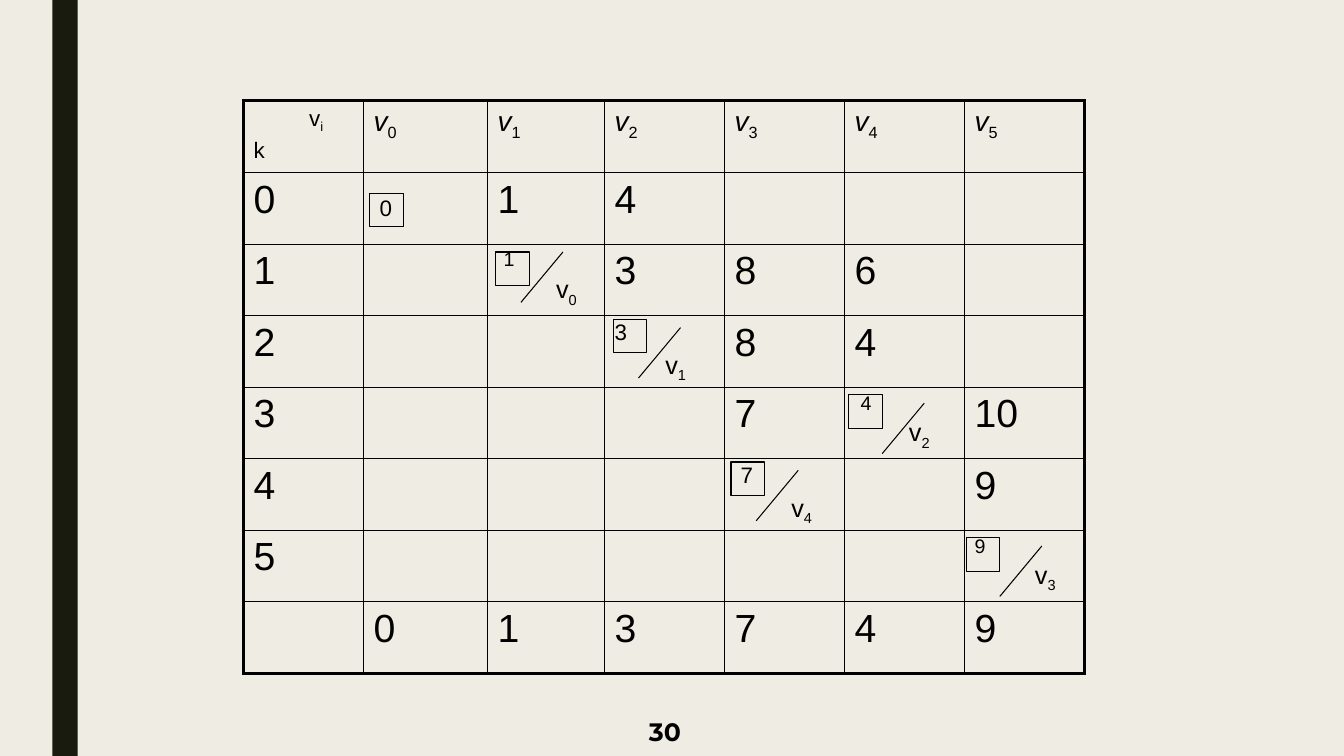
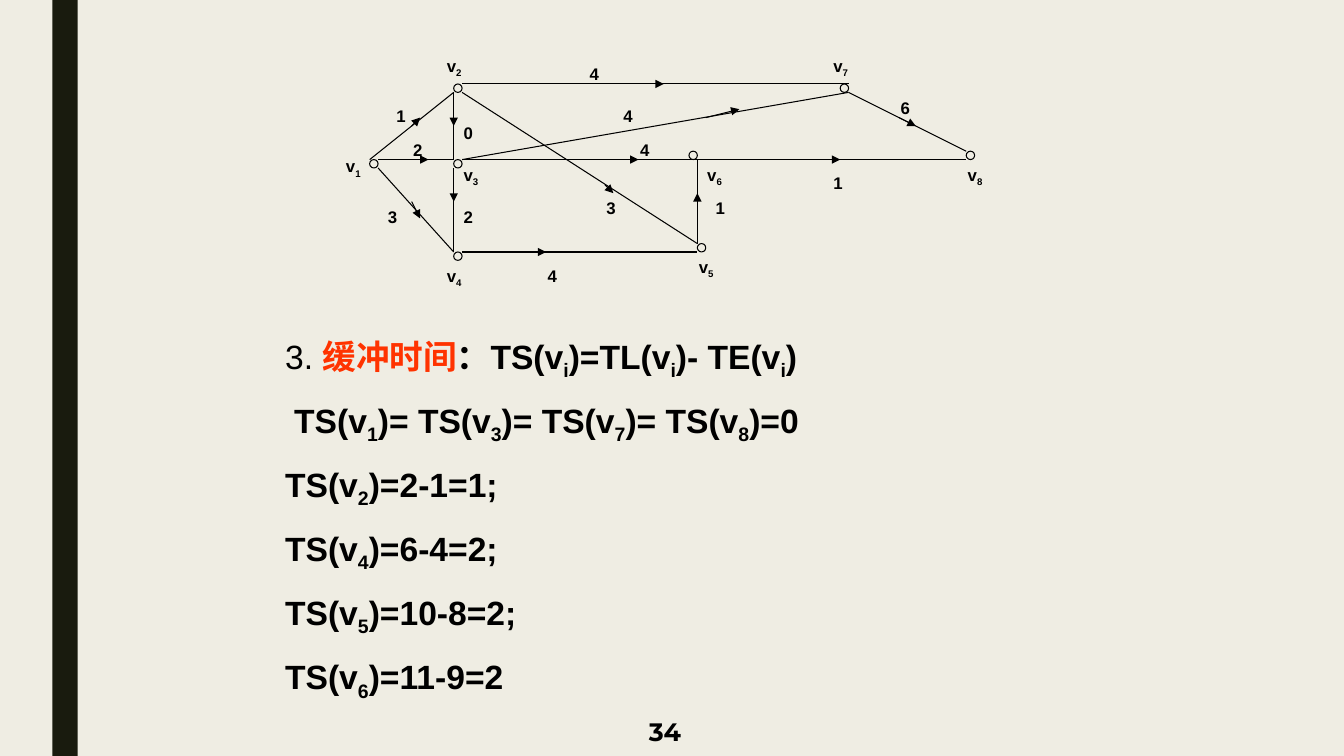
from itertools import product

from lxml import etree
from pptx import Presentation
from pptx import util as u
from pptx.dml.color import RGBColor
from pptx.enum import shapes, text
from pptx.oxml import parse_xml
from pptx.oxml.ns import nsdecls, qn

# Shared look; places are counted in grid units of 1/12 inch
COLOURS = {"paper": "EFEDE3", "band": "191B0E", "ink": "000000", "accent": "FF3300"}
UNIT = 1 / 12
HAIRLINE, INNER, OUTER = 0.75, 1, 2.25
ARIAL = {"name": "Arial", "size": 18, "bold": False, "italic": False, "color": "ink"}
BOLD_12 = {"size": 12, "bold": True}

# Slide 30: shortest path table ("_" lowers the next character)
VERTICES = ["v_0", "v_1", "v_2", "v_3", "v_4", "v_5"]
STEPS = [
    ["0", "", "1", "4", "", "", ""],
    ["1", "", "", "3", "8", "6", ""],
    ["2", "", "", "", "8", "4", ""],
    ["3", "", "", "", "7", "", "10"],
    ["4", "", "", "", "", "", "9"],
    ["5", "", "", "", "", "", ""],
    ["", "0", "1", "3", "7", "4", "9"],
]
COLUMN_WIDTHS = [1.19, 1.23, 1.16, 1.19, 1.19, 1.19, 1.19]
ROW_HEIGHT = 0.71
# (row, column): text, size, indent, top margin
CHOSEN = {
    (1, 1): ("0", 16, 0.06, 0.24),
    (2, 2): ("1", 14, 0.06, 0.05),
    (3, 3): ("3", 16, 0, 0.05),
    (4, 5): ("4", 14, 0.06, 0.05),
    (5, 4): ("7", 16, 0.06, 0.05),
    (6, 6): ("9", 14, 0, 0.05),
}
FRAMES = [(44, 23), (59, 30), (73, 38), (87, 55), (101, 47), (115, 64)]
# predecessor, its place, upper end of the slash before it
PREDECESSORS = [
    ("v_0", (65, 32), (67, 30)),
    ("v_1", (78, 41), (81, 39)),
    ("v_2", (107, 49), (110, 48)),
    ("v_4", (93, 58), (95, 56)),
    ("v_3", (122, 66), (124, 65)),
]

# Slide 34: activity network and slack times
NODES = [  # label, circle, label place
    ("v_1", (44, 19), (40, 18)),
    ("v_2", (54, 10), (52, 6)),
    ("v_3", (54, 19), (54, 19)),
    ("v_4", (54, 30), (52, 31)),
    ("v_5", (83, 29), (82, 30)),
    ("v_6", (82, 18), (83, 19)),
    ("v_7", (100, 10), (98, 6)),
    ("v_8", (115, 18), (114, 19)),
]
EDGES = [  # weight, its place, edge ends, arrow ends
    ("1", (46, 12), (44, 19), (54, 11), (49, 15), (50, 14)),
    ("2", (48, 16), (45, 19), (54, 19), (49, 19), (51, 19)),
    ("3", (45, 24), (45, 20), (54, 30), (49, 24), (50, 26)),
    ("0", (54, 14), (54, 11), (54, 19), (54, 14), (54, 15)),
    ("2", (54, 24), (54, 20), (54, 30), (54, 22), (54, 24)),
    ("4", (69, 7), (55, 10), (101, 10), (77, 10), (79, 10)),
    ("4", (73, 12), (55, 19), (101, 11), (84, 14), (88, 13)),
    ("4", (75, 16), (55, 19), (83, 19), (74, 19), (76, 19)),
    ("1", (98, 20), (83, 19), (115, 19), (95, 19), (100, 19)),
    ("3", (71, 23), (55, 11), (83, 29), (72, 22), (73, 23)),
    ("4", (64, 31), (55, 30), (83, 30), (63, 30), (65, 30)),
    ("1", (84, 23), (83, 29), (83, 19), (83, 26), (83, 23)),
    ("6", (106, 11), (101, 11), (115, 18), (107, 14), (109, 15)),
]
SLACK_HEAD = [
    ("3. ", {"bold": False}),
    ("缓冲时间", {"color": "accent"}),
    ("：TS(v_i)=TL(v_i)- TE(v_i)", {}),
]
SLACK_TIMES = [
    ("TS(v_1)= TS(v_3)= TS(v_7)= TS(v_8)=0", 0.09),
    ("TS(v_2)=2-1=1;", 0),
    ("TS(v_4)=6-4=2;", 0),
    ("TS(v_5)=10-8=2;", 0),
    ("TS(v_6)=11-9=2", 0),
]


def rgb(name):
    return RGBColor.from_string(COLOURS[name])


def grid(*units):
    return [u.Inches(n * UNIT) for n in units]


# Text
def add_run(paragraph, words, lowered=False, **changes):
    run = paragraph.add_run()
    run.text = words
    looks = {**ARIAL, **changes}
    run.font.color.rgb = rgb(looks.pop("color"))
    looks["size"] = u.Pt(looks["size"])
    for key, value in looks.items():
        setattr(run.font, key, value)
    if lowered:
        run.font._element.set("baseline", "-25000")


def write(paragraph, marked, indent=0, italic=False, **changes):
    if indent:
        paragraph._p.get_or_add_pPr().set("marL", str(u.Inches(indent)))
    first, *others = marked.split("_")
    add_run(paragraph, first, italic=italic, **changes)
    for part in others:
        add_run(paragraph, part[0], lowered=True, **changes)
        if part[1:]:
            add_run(paragraph, part[1:], italic=italic, **changes)


def text_frame(parent, left, top, width, height):
    frame = parent.add_textbox(*map(u.Inches, (left, top, width, height))).text_frame
    frame.word_wrap = True
    return frame


def label(parent, marked, place, width, height, **changes):
    column, row = place
    frame = text_frame(parent, column * UNIT, row * UNIT, width * UNIT, height)
    write(frame.paragraphs[0], marked, **changes)


# Outlines and lines
def outline(parent, preset, place, side):
    shape = parent.add_shape(preset, *grid(*place, side, side))
    shape.shadow.inherit = False
    shape.fill.background()
    shape.line.color.rgb = rgb("ink")
    shape.line.width = u.Pt(HAIRLINE)


def line(parent, start, end, arrow=False):
    stroke = parent.add_connector(shapes.MSO_CONNECTOR.STRAIGHT, *grid(*start, *end))
    stroke.line.color.rgb = rgb("ink")
    stroke.line.width = u.Pt(HAIRLINE)
    if arrow:
        etree.SubElement(stroke.line._get_or_add_ln(), qn("a:tailEnd"), type="triangle")
    etree.SubElement(stroke.element.spPr, qn("a:effectLst"))


def set_borders(cell, widths):
    properties = cell._tc.get_or_add_tcPr()
    for side, points in widths.items():
        properties.append(parse_xml(
            f'<a:ln{side} {nsdecls("a")} w="{u.Pt(points)}"><a:solidFill>'
            f'<a:srgbClr val="{COLOURS["ink"]}"/></a:solidFill></a:ln{side}>'))


# Slides
def new_slide(deck, number):
    slide = deck.slides.add_slide(deck.slide_layouts[6])
    band = slide.shapes.add_shape(
        shapes.MSO_SHAPE.RECTANGLE, u.Inches(0.52), 0, u.Inches(0.25), deck.slide_height)
    band.shadow.inherit = False
    band.fill.solid()
    band.fill.fore_color.rgb = rgb("band")
    band.line.fill.background()
    footer = text_frame(slide.shapes, 3.16, 7.06, 6.87, 0.44).paragraphs[0]
    footer.alignment = text.PP_ALIGN.CENTER
    write(footer, number, name="Montserrat", bold=True)
    return slide


def fill_cell(cell, row, column):
    paragraph = cell.text_frame.paragraphs[0]
    if (row, column) in CHOSEN:
        words, size, indent, top = CHOSEN[row, column]
        cell.margin_top = u.Inches(top)
        write(paragraph, words, indent, size=size)
    elif row and STEPS[row - 1][column]:
        write(paragraph, STEPS[row - 1][column], size=28)
    elif row == 0 and column:
        write(paragraph, VERTICES[column - 1], size=20, italic=True)
    elif row == 0:
        write(paragraph, "v_i", 0.55, size=16)
        step = cell.text_frame.add_paragraph()
        step.space_before = u.Pt(3)
        write(step, "k", size=16)


def path_table_slide(deck):
    parts = new_slide(deck, "30").shapes
    rows, columns = len(STEPS) + 1, len(COLUMN_WIDTHS)
    table = parts.add_table(
        rows, columns, *grid(29, 12),
        u.Inches(sum(COLUMN_WIDTHS)), u.Inches(rows * ROW_HEIGHT)).table
    table.first_row = table.horz_banding = False
    for column, width in zip(table.columns, COLUMN_WIDTHS):
        column.width = u.Inches(width)
    for row in table.rows:
        row.height = u.Inches(ROW_HEIGHT)
    for row, column in product(range(rows), range(columns)):
        cell = table.cell(row, column)
        edges = {"L": column == 0, "R": column == columns - 1,
                 "T": row == 0, "B": row == rows - 1}
        set_borders(cell, {s: OUTER if outer else INNER for s, outer in edges.items()})
        cell.fill.background()
        fill_cell(cell, row, column)

    # Chosen distances and their predecessors
    for place in FRAMES:
        outline(parts, shapes.MSO_SHAPE.RECTANGLE, place, 4)
    for vertex, place, (x, y) in PREDECESSORS:
        line(parts, (x, y), (x - 5, y + 6))
        label(parts, vertex, place, 8, 0.4)


def network_slide(deck):
    parts = new_slide(deck, "34").shapes
    network = parts.add_group_shape().shapes
    for vertex, circle, place in NODES:
        outline(network, shapes.MSO_SHAPE.OVAL, circle, 1)
        label(network, vertex, place, 6, 0.3, **BOLD_12)
    for weight, place, start, end, tail, tip in EDGES:
        line(network, start, end)
        line(network, tail, tip, arrow=True)
        label(network, weight, place, 6, 0.3, **BOLD_12)

    # Slack times
    frame = text_frame(parts, 2.73, 3.28, 8.17, 3.53)
    for words, changes in SLACK_HEAD:
        write(frame.paragraphs[0], words, **{"size": 24, "bold": True, **changes})
    for words, indent in SLACK_TIMES:
        paragraph = frame.add_paragraph()
        paragraph.space_before = u.Pt(13)
        write(paragraph, words, indent, size=24, bold=True)


def main():
    deck = Presentation()
    deck.slide_width, deck.slide_height = u.Inches(13.33), u.Inches(7.5)
    paper = deck.slide_master.background.fill
    paper.solid()
    paper.fore_color.rgb = rgb("paper")
    path_table_slide(deck)
    network_slide(deck)
    deck.save("out.pptx")


if __name__ == "__main__":
    main()
